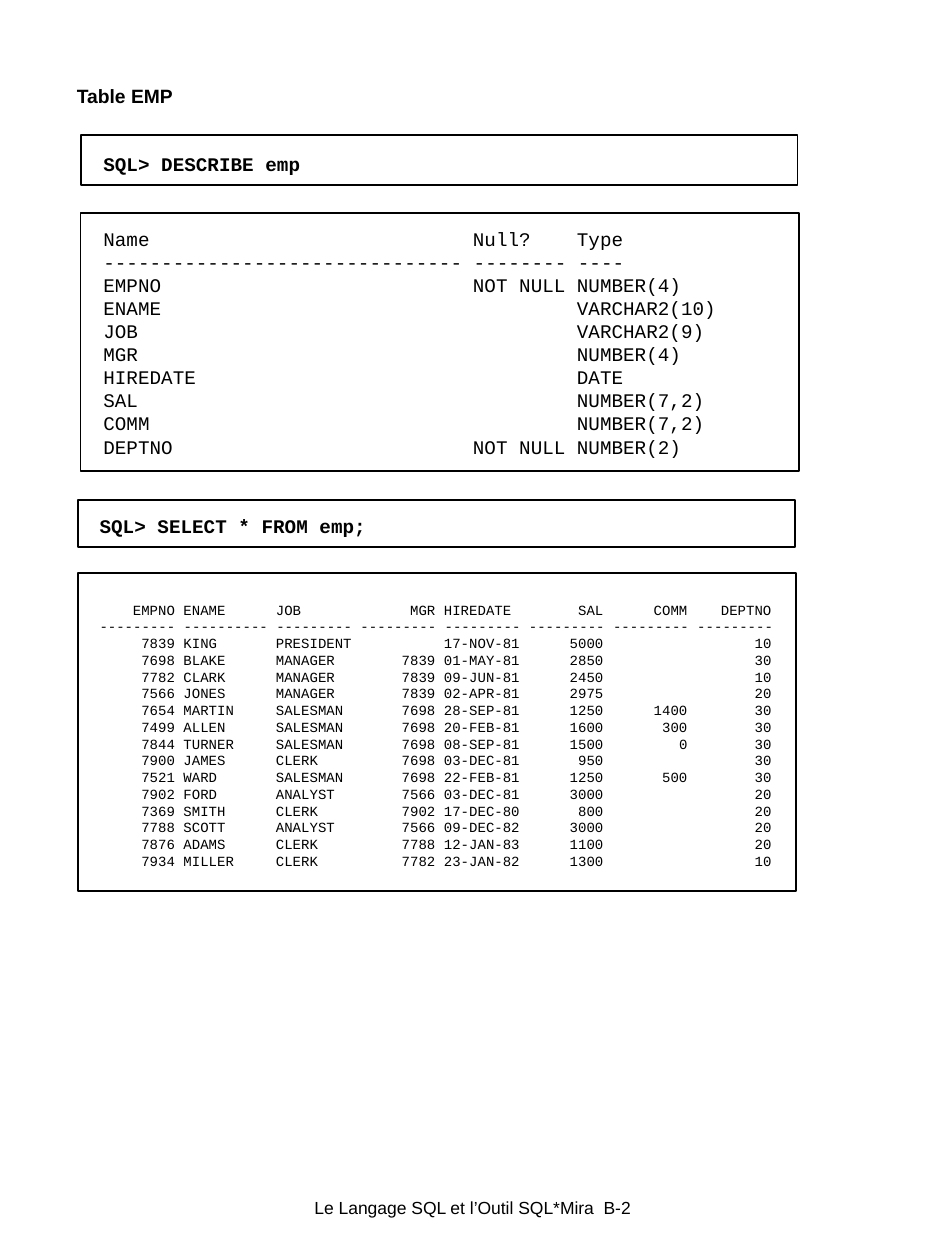
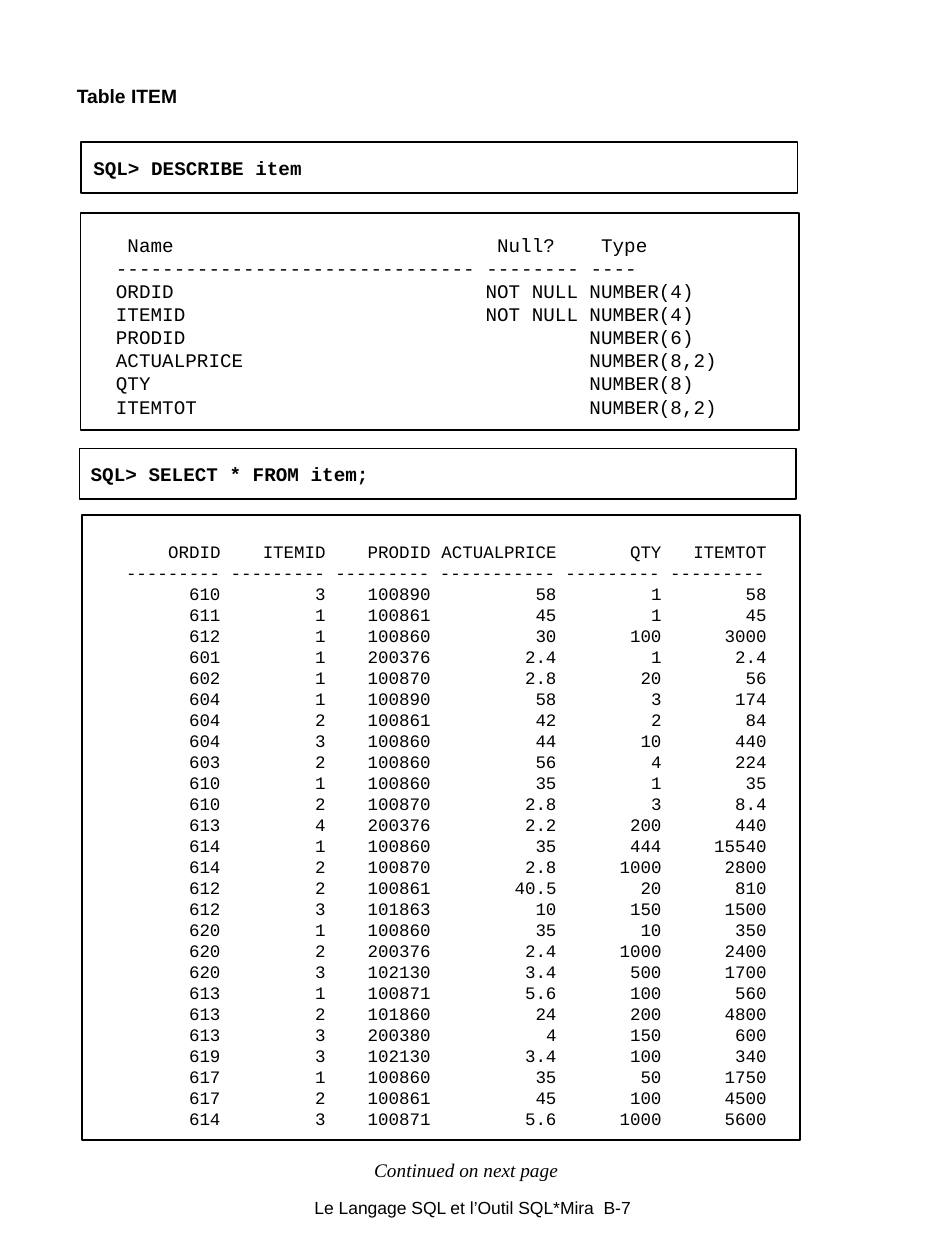
from dataclasses import dataclass
from itertools import accumulate

import pptx
import pptx.dml.color
import pptx.enum.shapes
import pptx.enum.text
import pptx.oxml.ns
import pptx.util
from lxml import etree

ALIGN = pptx.enum.text.PP_ALIGN


@dataclass(frozen=True)
class Theme:
    ink: pptx.dml.color.RGBColor = pptx.dml.color.RGBColor(0, 0, 0)
    sans: str = "Arial"
    mono: str = "Courier New"
    serif: str = "Times New Roman"
    body_size: int = 11
    item_size: int = 10
    emp_size: int = 8
    footer_size: int = 10
    frame_width: int = 1
    mono_advance: float = 0.6
    line_height: float = 1.13


@dataclass(frozen=True)
class Box:
    left: float
    top: float
    width: float
    height: float

    def inset(self, columns, rows):
        return Box(self.left + columns, self.top + rows,
                   self.width - columns, self.height - rows)

    def lengths(self):
        return [round(cells * CELL)
                for cells in (self.left, self.top, self.width, self.height)]


THEME = Theme()
SLIDE_WIDTH = pptx.util.Inches(7.5)
SLIDE_HEIGHT = pptx.util.Inches(10)
GRID_COLUMNS = 75
CELL = SLIDE_WIDTH / GRID_COLUMNS

TITLE_BOX = Box(6.1, 6.5, 57, 3)
FOOTER_BOX = Box(8.5, 95, 58, 1.7)
CONTINUED_BOX = Box(27, 91.9, 20, 2)

DESCRIBE_WIDTHS = (31, 8, 4)
DESCRIBE_ALIGNS = "lll"
DESCRIBE_HEADER = "Name|Null?|Type"

EMP_COLUMNS = """EMPNO|NOT NULL|NUMBER(4)
ENAME||VARCHAR2(10)
JOB||VARCHAR2(9)
MGR||NUMBER(4)
HIREDATE||DATE
SAL||NUMBER(7,2)
COMM||NUMBER(7,2)
DEPTNO|NOT NULL|NUMBER(2)"""

EMP_WIDTHS = (9, 10, 9, 9, 9, 9, 9, 9)
EMP_ALIGNS = "rllrlrrr"
EMP_HEADER = "EMPNO|ENAME|JOB|MGR|HIREDATE|SAL|COMM|DEPTNO"
EMP_ROWS = """7839|KING|PRESIDENT||17-NOV-81|5000||10
7698|BLAKE|MANAGER|7839|01-MAY-81|2850||30
7782|CLARK|MANAGER|7839|09-JUN-81|2450||10
7566|JONES|MANAGER|7839|02-APR-81|2975||20
7654|MARTIN|SALESMAN|7698|28-SEP-81|1250|1400|30
7499|ALLEN|SALESMAN|7698|20-FEB-81|1600|300|30
7844|TURNER|SALESMAN|7698|08-SEP-81|1500|0|30
7900|JAMES|CLERK|7698|03-DEC-81|950||30
7521|WARD|SALESMAN|7698|22-FEB-81|1250|500|30
7902|FORD|ANALYST|7566|03-DEC-81|3000||20
7369|SMITH|CLERK|7902|17-DEC-80|800||20
7788|SCOTT|ANALYST|7566|09-DEC-82|3000||20
7876|ADAMS|CLERK|7788|12-JAN-83|1100||20
7934|MILLER|CLERK|7782|23-JAN-82|1300||10"""

ITEM_COLUMNS = """ORDID|NOT NULL|NUMBER(4)
ITEMID|NOT NULL|NUMBER(4)
PRODID||NUMBER(6)
ACTUALPRICE||NUMBER(8,2)
QTY||NUMBER(8)
ITEMTOT||NUMBER(8,2)"""

ITEM_WIDTHS = (9, 9, 9, 11, 9, 9)
ITEM_ALIGNS = "rrrrrr"
ITEM_HEADER = "ORDID|ITEMID|PRODID|ACTUALPRICE|QTY|ITEMTOT"
ITEM_ROWS = """610|3|100890|58|1|58
611|1|100861|45|1|45
612|1|100860|30|100|3000
601|1|200376|2.4|1|2.4
602|1|100870|2.8|20|56
604|1|100890|58|3|174
604|2|100861|42|2|84
604|3|100860|44|10|440
603|2|100860|56|4|224
610|1|100860|35|1|35
610|2|100870|2.8|3|8.4
613|4|200376|2.2|200|440
614|1|100860|35|444|15540
614|2|100870|2.8|1000|2800
612|2|100861|40.5|20|810
612|3|101863|10|150|1500
620|1|100860|35|10|350
620|2|200376|2.4|1000|2400
620|3|102130|3.4|500|1700
613|1|100871|5.6|100|560
613|2|101860|24|200|4800
613|3|200380|4|150|600
619|3|102130|3.4|100|340
617|1|100860|35|50|1750
617|2|100861|45|100|4500
614|3|100871|5.6|1000|5600"""


def set_tab_stops(paragraph, stops, size):
    properties = paragraph._p.get_or_add_pPr()
    tab_list = etree.SubElement(properties, pptx.oxml.ns.qn("a:tabLst"))
    for characters, align in stops:
        position = pptx.util.Pt(characters * size * THEME.mono_advance)
        etree.SubElement(tab_list, pptx.oxml.ns.qn("a:tab"),
                         pos=str(int(position)), algn=align)


def add_text(slide, box, text, font=THEME.sans, size=THEME.body_size, bold=False,
             italic=False, align=ALIGN.LEFT, spacing=None, stops=()):
    shape = slide.shapes.add_textbox(*box.lengths())
    frame = shape.text_frame
    frame.word_wrap = True
    frame.margin_left = frame.margin_right = 0
    frame.margin_top = frame.margin_bottom = 0
    for index, line in enumerate(text.split("\n")):
        paragraph = frame.add_paragraph() if index else frame.paragraphs[0]
        paragraph.alignment = align
        if spacing:
            paragraph.line_spacing = spacing
        if stops and stops[index]:
            set_tab_stops(paragraph, stops[index], size)
        run = paragraph.add_run()
        run.text = line
        run.font.name = font
        run.font.size = pptx.util.Pt(size)
        run.font.bold = bold
        run.font.italic = italic
        run.font.color.rgb = THEME.ink


def add_frame(slide, box):
    rectangle = pptx.enum.shapes.MSO_SHAPE.RECTANGLE
    shape = slide.shapes.add_shape(rectangle, *box.lengths())
    shape.shadow.inherit = False
    shape.fill.background()
    shape.line.color.rgb = THEME.ink
    shape.line.width = pptx.util.Pt(THEME.frame_width)


def add_command(slide, box, command, indent, drop):
    add_frame(slide, box)
    add_text(slide, box.inset(indent, drop), command, font=THEME.mono, bold=True)


def column_stops(widths, aligns, shift=0):
    starts = accumulate((width + 1 for width in widths[:-1]), initial=shift)
    stops = [(start + width if align == "r" else start, align)
             for start, width, align in zip(starts, widths, aligns)]
    return [stop for stop in stops if stop[0]]


def tabbed(row, stops, widths):
    leading = "\t" if len(stops) == len(widths) else ""
    return leading + row.replace("|", "\t")


def add_listing(slide, box, header, rows, widths, aligns, indent, drop,
                size=THEME.body_size, header_shift=0):
    add_frame(slide, box)
    header_stops = column_stops(widths, aligns, header_shift)
    row_stops = column_stops(widths, aligns)
    rows = rows.split("\n")
    lines = [tabbed(header, header_stops, widths),
             " ".join("-" * width for width in widths)]
    lines += [tabbed(row, row_stops, widths) for row in rows]
    height = pptx.util.Pt(len(lines) * size * THEME.line_height) / CELL
    text_box = Box(box.left + indent, box.top + drop, box.width - indent, height)
    add_text(slide, text_box, "\n".join(lines), font=THEME.mono, size=size,
             stops=[header_stops, ()] + [row_stops] * len(rows))


def add_page(presentation, title, page):
    slide = presentation.slides.add_slide(presentation.slide_layouts[6])
    add_text(slide, FOOTER_BOX, f"Le Langage SQL et l’Outil SQL*Mira  {page}",
             size=THEME.footer_size, align=ALIGN.CENTER)
    add_text(slide, TITLE_BOX, title, bold=True, spacing=1.1)
    return slide


def build_emp_page(presentation):
    slide = add_page(presentation, "Table EMP", "B-2")
    add_command(slide, Box(6.4, 10.7, 56.9, 4), "SQL> DESCRIBE emp", 1.8, 1.4)
    add_listing(slide, Box(6.4, 16.9, 57, 20.5), DESCRIBE_HEADER, EMP_COLUMNS,
                DESCRIBE_WIDTHS, DESCRIBE_ALIGNS, 1.8, 1.1)
    add_command(slide, Box(6.2, 39.7, 56.9, 3.7), "SQL> SELECT * FROM emp;", 1.7, 1.1)
    add_listing(slide, Box(6.2, 45.5, 57, 25.2), EMP_HEADER, EMP_ROWS,
                EMP_WIDTHS, EMP_ALIGNS, 1.7, 2.2, size=THEME.emp_size)


def build_item_page(presentation):
    slide = add_page(presentation, "Table ITEM", "B-7")
    add_command(slide, Box(6.4, 11.3, 56.9, 4), "SQL> DESCRIBE item", 1, 1.1)
    add_listing(slide, Box(6.4, 16.9, 57, 17.2), DESCRIBE_HEADER, ITEM_COLUMNS,
                DESCRIBE_WIDTHS, DESCRIBE_ALIGNS, 2.8, 1.6, header_shift=1)
    add_command(slide, Box(6.3, 35.6, 56.9, 4), "SQL> SELECT * FROM item;", 0.9, 1.1)
    add_listing(slide, Box(6.5, 40.9, 57, 49.6), ITEM_HEADER, ITEM_ROWS,
                ITEM_WIDTHS, ITEM_ALIGNS, 3.5, 2, size=THEME.item_size)
    add_text(slide, CONTINUED_BOX, "Continued on next page", font=THEME.serif,
             italic=True, align=ALIGN.CENTER)


def main():
    presentation = pptx.Presentation()
    presentation.slide_width = SLIDE_WIDTH
    presentation.slide_height = SLIDE_HEIGHT
    build_emp_page(presentation)
    build_item_page(presentation)
    presentation.save("out.pptx")


if __name__ == "__main__":
    main()
